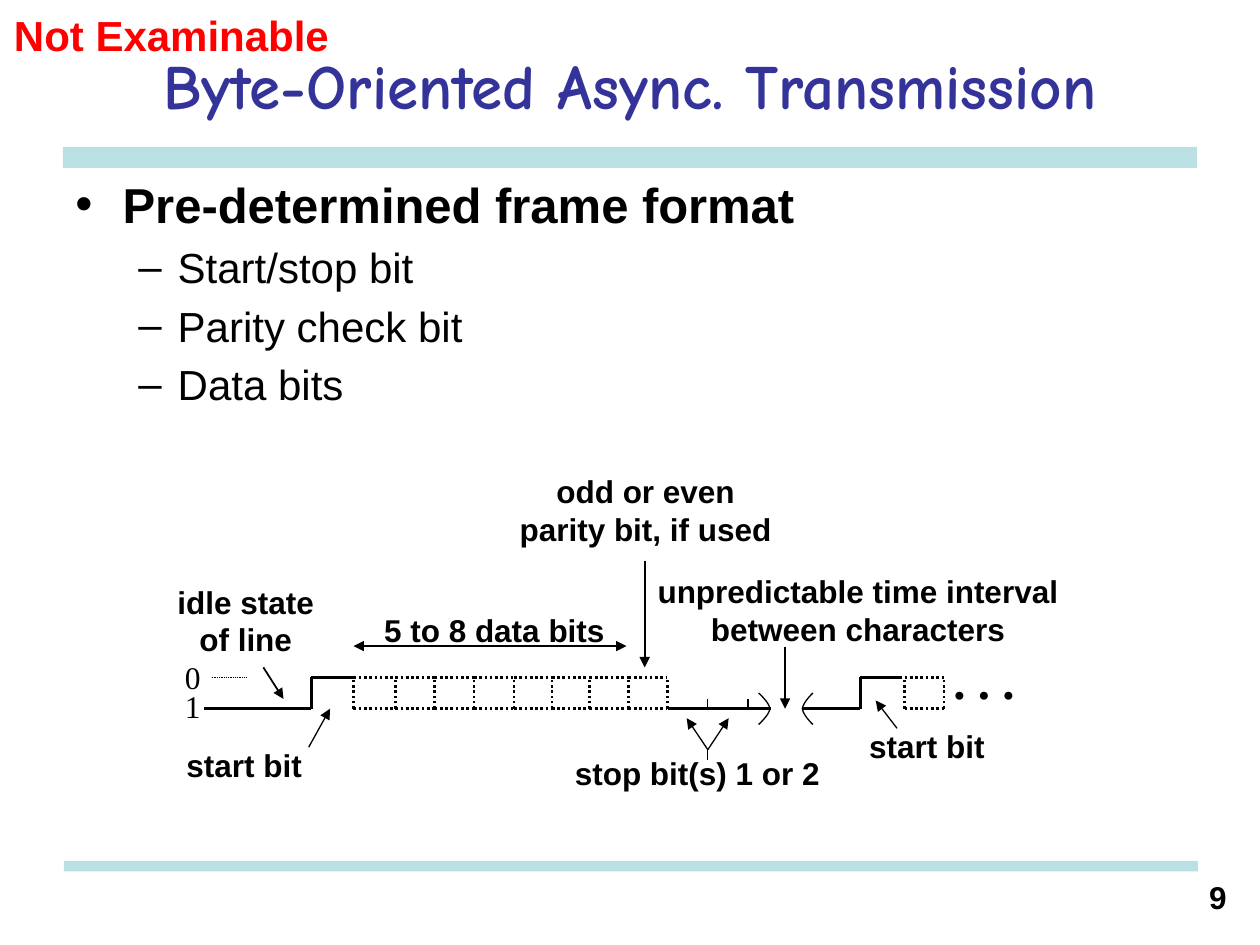
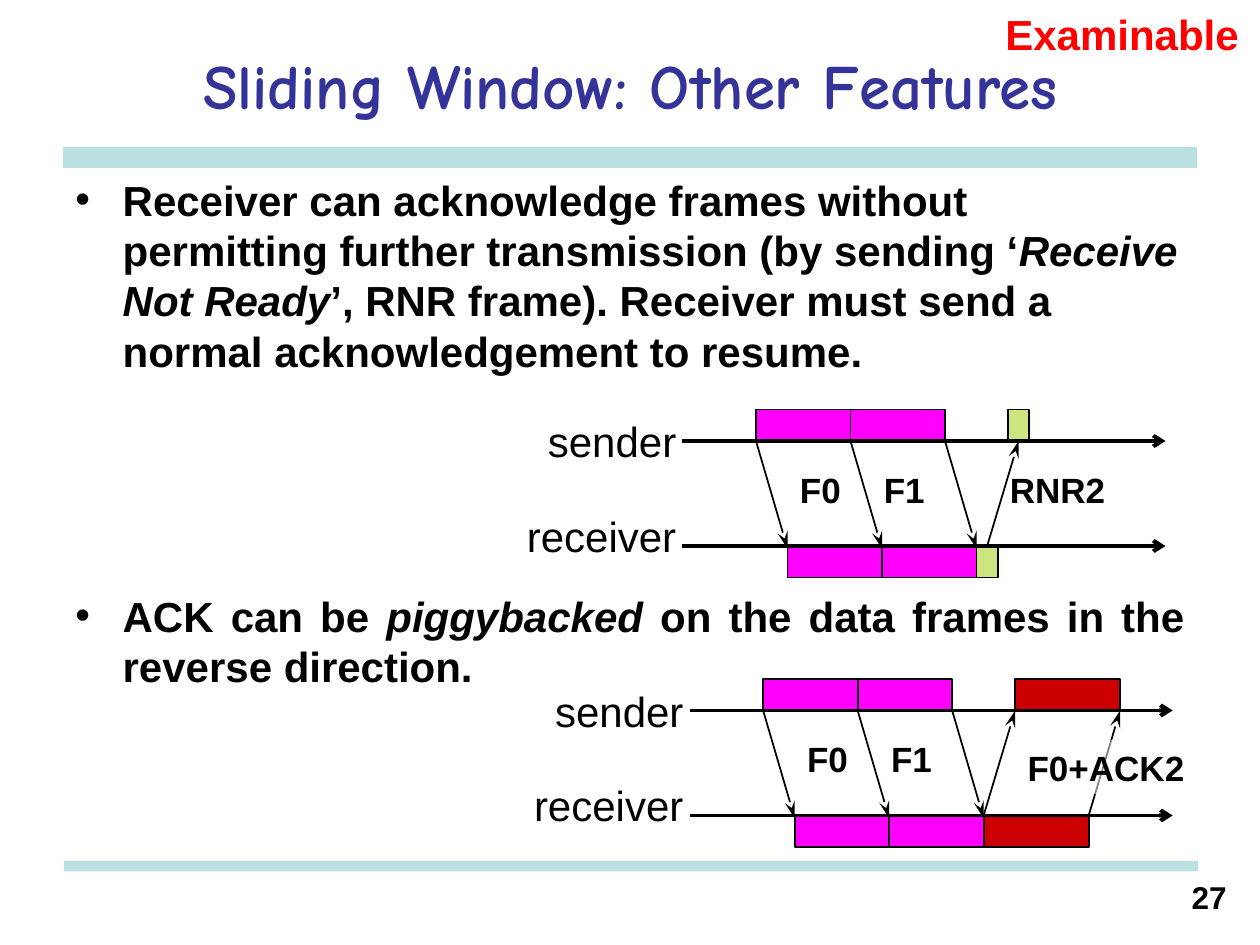
"""Build two lecture slides on asynchronous framing and sliding windows."""

import dataclasses
import itertools
import typing

import lxml.etree
import pptx
import pptx.dml.color
import pptx.enum.dml
import pptx.enum.shapes
import pptx.enum.text
import pptx.oxml.ns
import pptx.util

BAND, TITLE, BLACK, RED = "BBE0E3", "333399", "000000", "FF0000"
MAGENTA, GREEN, DARK_RED, WHITE = "FF00FF", "99CC00", "CC0000", "FFFFFF"
LEFT = pptx.enum.text.PP_ALIGN.LEFT
CENTER = pptx.enum.text.PP_ALIGN.CENTER
RIGHT = pptx.enum.text.PP_ALIGN.RIGHT
JUSTIFY = pptx.enum.text.PP_ALIGN.JUSTIFY
HIGH, LOW = 387, 405
FRAME_W, FRAME_H, DELAY, LINE_GAP = 54, 18, 18, 60


@dataclasses.dataclass
class Label:
    text: str
    x: float
    y: float
    w: float
    h: float = 28.8
    size: float = 18
    bold: bool = True
    color: str = BLACK
    font: str = "Arial"
    align: typing.Any = LEFT
    wrap: bool = False
    middle: bool = False


@dataclasses.dataclass
class Line:
    x1: float
    y1: float
    x2: float
    y2: float
    width: float = 0.75
    dotted: bool = False
    head: str = ""
    tail: str = ""


@dataclasses.dataclass
class Bullet:
    runs: list[tuple[str, bool]]
    size: float
    level: int = 0
    align: typing.Any = LEFT


@dataclasses.dataclass
class Reply:
    text: str
    width: float
    color: str
    opacity: int
    arrows_at: tuple[float, ...]
    label_x: float
    label_y: float
    label_w: float
    veiled: bool = False


def rgb(color: str):
    return pptx.dml.color.RGBColor.from_string(color)


def pts(*values: float) -> list:
    return [pptx.util.Pt(v) for v in values]


def sub(parent, tag: str, **attrs: str):
    return lxml.etree.SubElement(parent, pptx.oxml.ns.qn(tag), **attrs)


def fill_shape(sp, color: str, opacity: int = 100) -> None:
    sp.fill.solid()
    sp.fill.fore_color.rgb = rgb(color)
    if opacity < 100:
        clr = sp._element.spPr.find(".//" + pptx.oxml.ns.qn("a:srgbClr"))
        sub(clr, "a:alpha", val=str(opacity * 1000))


def stroke(sp, width: float) -> None:
    sp.line.width = pptx.util.Pt(width)
    sp.line.color.rgb = rgb(BLACK)


def add_rect(s, x: float, y: float, w: float, h: float, color: str,
             opacity: int = 100, outline: float = 0):
    sp = s.shapes.add_shape(pptx.enum.shapes.MSO_SHAPE.RECTANGLE, *pts(x, y, w, h))
    sp.shadow.inherit = False
    fill_shape(sp, color, opacity)
    if outline:
        stroke(sp, outline)
    else:
        sp.line.fill.background()
    return sp


def add_line(s, line: Line):
    cn = s.shapes.add_connector(pptx.enum.shapes.MSO_CONNECTOR.STRAIGHT,
                                *pts(line.x1, line.y1, line.x2, line.y2))
    stroke(cn, line.width)
    if line.dotted:
        cn.line.dash_style = pptx.enum.dml.MSO_LINE_DASH_STYLE.ROUND_DOT
    spPr = cn._element.spPr
    for tag, kind in (("a:headEnd", line.head), ("a:tailEnd", line.tail)):
        if kind:
            length = "lg" if kind == "stealth" else "med"
            sub(spPr.get_or_add_ln(), tag, type=kind, len=length)
    sub(spPr, "a:effectLst")
    return cn


def add_label(s, label: Label):
    sp = s.shapes.add_textbox(*pts(label.x, label.y, label.w, label.h))
    tf = sp.text_frame
    tf.word_wrap = label.wrap
    if label.middle:
        tf.vertical_anchor = pptx.enum.text.MSO_ANCHOR.MIDDLE
    p = tf.paragraphs[0]
    p.text = label.text
    p.alignment = label.align
    set_font(p, label.size, label.bold, label.color, label.font)
    return sp


def set_font(p, size: float, bold: bool, color: str, name: str) -> None:
    p.font.size = pptx.util.Pt(size)
    p.font.bold = bold
    p.font.name = name
    p.font.color.rgb = rgb(color)


def add_bullets(s, y: float, w: float, h: float, bullets: list[Bullet]) -> None:
    tf = s.shapes.add_textbox(*pts(36, y, w, h)).text_frame
    tf.word_wrap = True
    for i, bullet in enumerate(bullets):
        p = tf.add_paragraph() if i else tf.paragraphs[0]
        p.level = bullet.level
        p.alignment = bullet.align
        p.space_before = pptx.util.Pt(bullet.size * 0.2)
        margin, hang, mark = ((27, 27, "•"), (58.5, 22.5, "–"))[bullet.level]
        pPr = p._p.get_or_add_pPr()
        pPr.set("marL", str(pptx.util.Pt(margin)))
        pPr.set("indent", str(-pptx.util.Pt(hang)))
        sub(pPr, "a:buFont", typeface="Arial")
        sub(pPr, "a:buChar", char=mark)
        set_font(p, bullet.size, bullet.level == 0, BLACK, "Arial")
        for text, italic in bullet.runs:
            r = p.add_run()
            r.text = text
            if italic:
                r.font.italic = True


def new_slide(prs, title: str, number: str):
    s = prs.slides.add_slide(prs.slide_layouts[6])
    add_rect(s, 36, 84, 648, 12, BAND)
    add_rect(s, 36.5, 492, 648, 6, BAND)
    add_label(s, Label(title, 36, 12, 648, 72, size=36, color=TITLE, font="Comic Neue",
                       align=CENTER, wrap=True, middle=True))
    add_label(s, Label(number, 660, 498, 48, 30, align=RIGHT, wrap=True))
    return s


def draw_signal(s, points: list[tuple[float, float]]) -> None:
    for start, end in itertools.pairwise(points):
        add_line(s, Line(*start, *end, width=1.5))


def draw_bits(s, edges: list[float]) -> None:
    for x in edges:
        add_line(s, Line(x, LOW, x, HIGH, 1.5, dotted=True))
    for (x1, x2), y in itertools.product(itertools.pairwise(edges), (LOW, HIGH)):
        add_line(s, Line(x1, y, x2, y, 1.5, dotted=True))


def draw_break(s, x: float, depth: float) -> None:
    steps = [i / 8 for i in range(-8, 9)]
    curve = [tuple(pts(x + depth * (1 - abs(u) ** 1.5), LOW + 9 * u)) for u in steps]
    builder = s.shapes.build_freeform(*curve[0])
    builder.add_line_segments(curve[1:], close=False)
    sp = builder.convert_to_shape()
    sp.shadow.inherit = False
    sp.fill.background()
    stroke(sp, 0.75)


def build_async_slide(prs) -> None:
    s = new_slide(prs, "Byte-Oriented Async. Transmission", "9")
    details = ["Start/stop bit", "Parity check bit", "Data bits"]
    add_bullets(s, 96, 648, 396, [Bullet([("Pre-determined frame format", False)], 28)]
                + [Bullet([(text, False)], 24, level=1) for text in details])

    draw_signal(s, [(116.6, LOW), (178, LOW), (178, HIGH), (202, HIGH)])
    draw_bits(s, [202, 226, 248.4, 270.9, 293.8, 315.4, 337, 359.3, 381.4])
    draw_signal(s, [(382, LOW), (440.6, LOW)])
    draw_signal(s, [(458.6, LOW), (491.6, LOW), (491.6, HIGH), (515.5, HIGH)])
    draw_bits(s, [517, 539.5])
    draw_break(s, 433.5, 6.5)
    draw_break(s, 464.5, -6)

    triangle = "triangle"
    for line in (
        Line(404.5, 399.4, 404.5, LOW),
        Line(427.5, 399.4, 427.5, LOW),
        Line(121, HIGH, 140.4, HIGH, 0.5, dotted=True),
        Line(150.5, 381.4, 162, 399.4, 1, tail=triangle),
        Line(176.4, 427, 188.6, LOW, tail=triangle),
        Line(202, 369.2, 358, 369.2, head=triangle, tail=triangle),
        Line(368.4, 320.4, 368.4, 381.4, 1, tail=triangle),
        Line(404.5, 428.4, 392.4, 410.4, tail=triangle),
        Line(404.5, 428.4, 416.4, 410.4, tail=triangle),
        Line(404.5, 428.4, 404.5, 434.2),
        Line(448.6, 370, 448.6, LOW, 1, tail=triangle),
        Line(512.6, 416.2, 500.4, 400.3, tail=triangle),
    ):
        add_line(s, line)

    for label in (
        Label("idle state\nof line", 94.3, 329.4, 92.2, 50.4, align=CENTER),
        Label("start bit", 99.4, 422.6, 80.6),
        Label("1", 98.6, 389.2, 23.8, bold=False, font="Times New Roman"),
        Label("0", 98.6, 372.3, 23.8, bold=False, font="Times New Roman"),
        Label("5 to 8 data bits", 212.4, 345.6, 140.4),
        Label("odd or even\nparity bit, if used", 278.6, 266.4, 180.7, 50.4,
              align=CENTER, wrap=True),
        Label("stop bit(s) 1 or 2", 308.5, 427.4, 180, align=CENTER, wrap=True),
        Label("unpredictable time interval\nbetween characters", 368.6, 323.3,
              243.4, 50.4, align=CENTER),
        Label("start bit", 489.6, 411.8, 80.6),
        Label(". . .", 537.8, 368.4, 64.8, 41, size=28, font="Times New Roman", wrap=True),
        Label("Not Examinable", 0.9, 1.8, 210, 36, size=24, color=RED, wrap=True),
    ):
        add_label(s, label)


def draw_window(s, x: float, y: float, reply: Reply) -> None:
    sender_y, receiver_y = y + FRAME_H, y + FRAME_H + LINE_GAP
    for i in range(2):
        for dx, top in ((0, y), (DELAY, receiver_y)):
            add_rect(s, x + i * FRAME_W + dx, top, FRAME_W, FRAME_H, MAGENTA, outline=1)
    reply_x = x + 2 * FRAME_W + DELAY
    sent, received = (
        add_rect(s, left, top, reply.width, FRAME_H, reply.color, reply.opacity, 1)
        for left, top in ((reply_x, receiver_y), (reply_x + DELAY, y)))

    for i in range(3):
        left = x + i * FRAME_W
        add_line(s, Line(left, sender_y, left + DELAY, receiver_y + 1.5, 1, tail="stealth"))
    for part in reply.arrows_at:
        left = reply_x + part * reply.width
        cn = add_line(s, Line(left, receiver_y, left + DELAY, sender_y, 1, tail="stealth"))
        if part == 0.5:
            cn.begin_connect(sent, 0)
            cn.end_connect(received, 2)
    for line_y in (sender_y, receiver_y):
        add_line(s, Line(x - 42, line_y, x + 234, line_y, 2.25, tail="arrow"))

    add_label(s, Label("sender", x - 126, y, 88, 36, size=24, bold=False))
    add_label(s, Label("receiver", x - 138, y + 54, 100, 36, size=24, bold=False))
    for text, dx in (("F0", 18), ("F1", 66)):
        add_label(s, Label(text, x + dx, y + 30, 38, 31, size=20))
    sp = add_label(s, Label(reply.text, x + reply.label_x, y + reply.label_y,
                            reply.label_w, 31, size=20))
    if reply.veiled:
        fill_shape(sp, WHITE, 50)


def build_window_slide(prs) -> None:
    s = new_slide(prs, "Sliding Window: Other Features", "27")
    add_bullets(s, 96, 646, 130, [Bullet([
        ("Receiver can acknowledge frames without permitting further transmission "
         "(by sending ‘", False),
        ("Receive Not Ready", True),
        ("’, RNR frame). Receiver must send a normal acknowledgement to resume.", False),
    ], 24)])
    add_bullets(s, 333.7, 648, 70, [Bullet([
        ("ACK can be ", False),
        ("piggybacked", True),
        (" on the data frames in the reverse direction.", False),
    ], 24, align=JUSTIFY)])
    draw_window(s, 432, 234, Reply("RNR2", 12.2, GREEN, 50, (0.5,), 138, 30, 69))
    draw_window(s, 436.1, 388, Reply("F0+ACK2", 60, DARK_RED, 100, (0, 1), 144, 34.9, 104,
                                     veiled=True))
    add_label(s, Label("Examinable", 567.4, 1.5, 152.6, 36, size=24, color=RED, wrap=True))


def main() -> None:
    prs = pptx.Presentation()
    prs.slide_width, prs.slide_height = pts(720, 540)
    build_async_slide(prs)
    build_window_slide(prs)
    prs.save("out.pptx")


if __name__ == "__main__":
    main()
